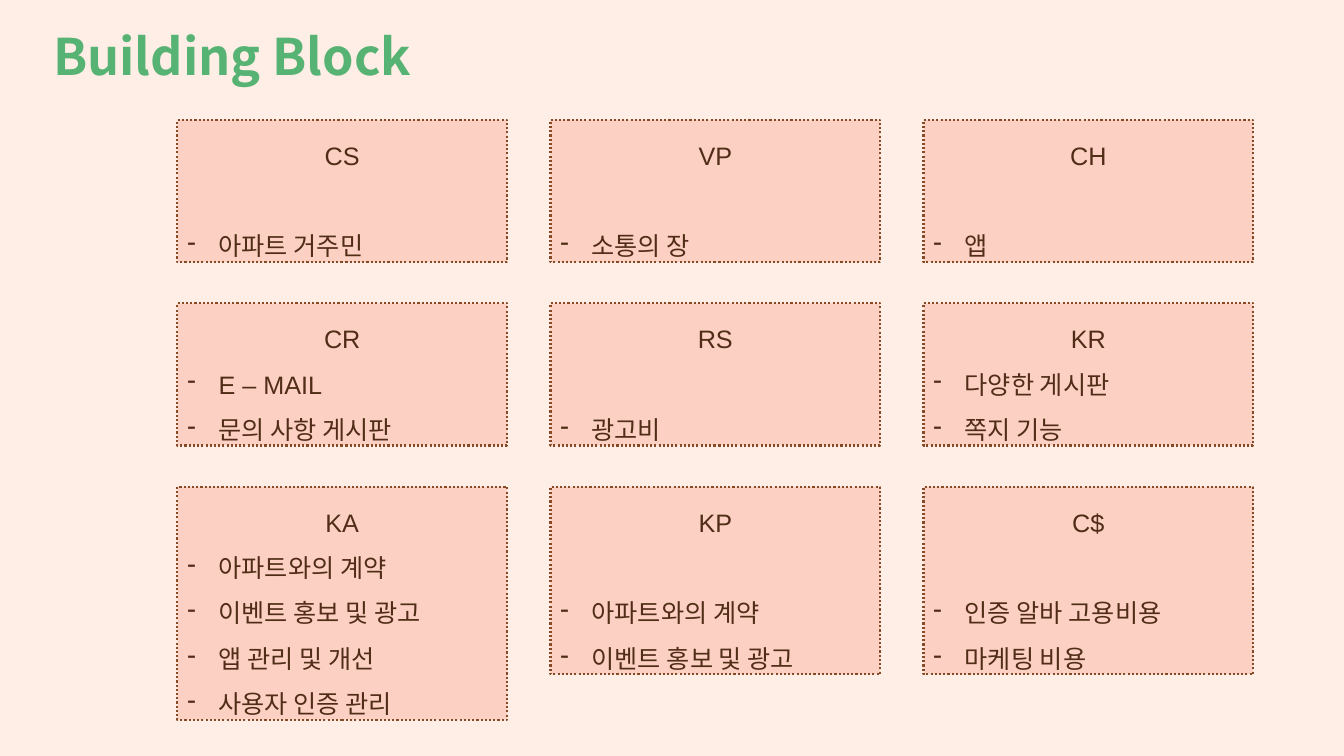
from lxml.etree import SubElement
from pptx import Presentation
from pptx.dml.color import RGBColor
from pptx.enum.dml import MSO_LINE
from pptx.enum.shapes import MSO_SHAPE
from pptx.enum.text import MSO_ANCHOR, MSO_AUTO_SIZE, PP_ALIGN
from pptx.oxml.ns import qn
from pptx.util import Inches, Pt

BACKGROUND = RGBColor(0xFF, 0xEE, 0xE5)
BLOCK_FILL = RGBColor(0xFB, 0xC2, 0xB3)
BLOCK_LINE = RGBColor(0x86, 0x4B, 0x26)
BLOCK_TEXT = RGBColor(0x51, 0x2D, 0x17)
TITLE_GREEN = RGBColor(0x57, 0xB3, 0x73)

BLOCK_ROWS = [
    [
        ("CS", ["아파트 거주민"]),
        ("VP", ["소통의 장"]),
        ("CH", ["앱"]),
    ],
    [
        ("CR", ["E – MAIL", "문의 사항 게시판"]),
        ("RS", ["광고비"]),
        ("KR", ["다양한 게시판", "쪽지 기능"]),
    ],
    [
        ("KA", ["아파트와의 계약", "이벤트 홍보 및 광고", "앱 관리 및 개선", "사용자 인증 관리"]),
        ("KP", ["아파트와의 계약", "이벤트 홍보 및 광고"]),
        ("C$", ["인증 알바 고용비용", "마케팅 비용"]),
    ],
]
SPACED_HEADINGS = {"CS", "VP", "CH", "RS", "KP", "C$"}
LEFT, TOP = 1.76, 1.19
COLUMN_STEP, ROW_STEP = 3.7, 1.82
BLOCK_WIDTH, BASE_HEIGHT, LINE_HEIGHT = 3.27, 1.41, 0.45


class BlockSlide:
    title_font = "Noto Sans CJK KR"
    body_font = "Arial"

    def __init__(self, slide):
        self.slide = slide
        slide.background.fill.solid()
        slide.background.fill.fore_color.rgb = BACKGROUND

    def style_font(self, paragraph, name, size, color, bold=False):
        font = paragraph.font
        font.name = name
        font.size = Pt(size)
        font.color.rgb = color
        font.bold = bold

    def add_title(self, text):
        box = self.slide.shapes.add_textbox(Inches(0.43), Inches(0.2), Inches(5.36), Inches(0.71))
        frame = box.text_frame
        frame.word_wrap = True
        frame.auto_size = MSO_AUTO_SIZE.SHAPE_TO_FIT_TEXT
        paragraph = frame.paragraphs[0]
        paragraph.text = text
        self.style_font(paragraph, self.title_font, 36, TITLE_GREEN, True)

    def add_bullet(self, paragraph):
        properties = paragraph._p.get_or_add_pPr()
        properties.set("marL", str(Inches(0.31)))
        properties.set("indent", str(-Inches(0.31)))
        SubElement(properties, qn("a:buFontTx"))
        SubElement(properties, qn("a:buChar"), char="-")

    def add_block(self, left, top, heading, items):
        spaced = heading in SPACED_HEADINGS
        line_count = 1 + spaced + len(items)
        height = BASE_HEIGHT + LINE_HEIGHT * (line_count - 3)
        shape = self.slide.shapes.add_shape(
            MSO_SHAPE.RECTANGLE, Inches(left), Inches(top), Inches(BLOCK_WIDTH), Inches(height)
        )
        shape.shadow.inherit = False
        shape.fill.solid()
        shape.fill.fore_color.rgb = BLOCK_FILL
        fill_color = shape._element.spPr.find(qn("a:solidFill")).find(qn("a:srgbClr"))
        SubElement(fill_color, qn("a:alpha"), val="66000")
        shape.line.color.rgb = BLOCK_LINE
        shape.line.width = Pt(1.5)
        shape.line.dash_style = MSO_LINE.ROUND_DOT

        frame = shape.text_frame
        frame.word_wrap = True
        frame.auto_size = MSO_AUTO_SIZE.SHAPE_TO_FIT_TEXT
        frame.vertical_anchor = MSO_ANCHOR.TOP
        for index, text in enumerate([heading, *items]):
            paragraph = frame.add_paragraph() if index else frame.paragraphs[0]
            paragraph.text = text
            paragraph.alignment = PP_ALIGN.LEFT if index else PP_ALIGN.CENTER
            paragraph.line_spacing = 1.5
            if index:
                self.add_bullet(paragraph)
            elif spaced:
                paragraph.space_after = Pt(32.4)
            self.style_font(paragraph, self.body_font, 18, BLOCK_TEXT)


def main():
    presentation = Presentation()
    presentation.slide_width = Inches(13.33)
    presentation.slide_height = Inches(7.5)
    block_slide = BlockSlide(presentation.slides.add_slide(presentation.slide_layouts[6]))
    block_slide.add_title("Building Block")
    for row, blocks in enumerate(BLOCK_ROWS):
        for column, (heading, items) in enumerate(blocks):
            block_slide.add_block(LEFT + column * COLUMN_STEP, TOP + row * ROW_STEP, heading, items)
    presentation.save("out.pptx")


if __name__ == "__main__":
    main()
